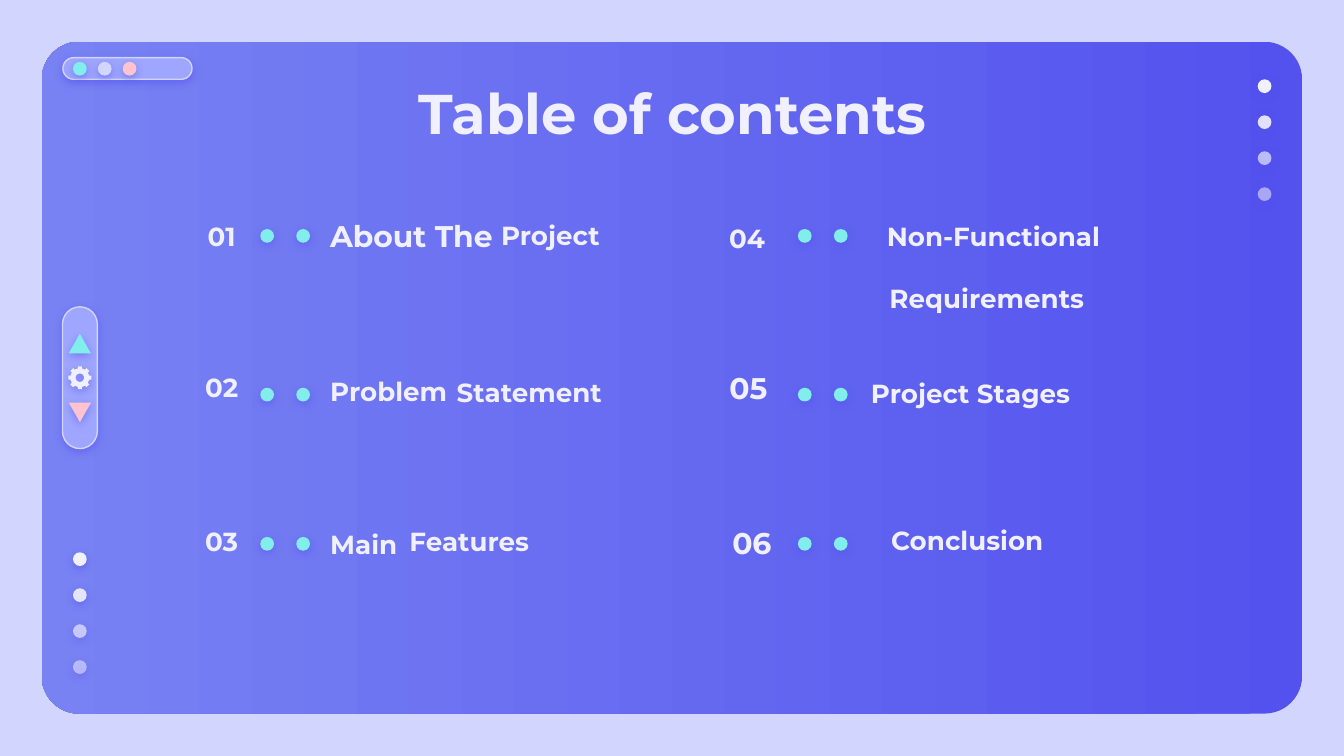
import math

import pptx
import pptx.dml.color
import pptx.enum.shapes
import pptx.enum.text
import pptx.oxml
import pptx.oxml.ns
import pptx.util

Cm, Pt = pptx.util.Cm, pptx.util.Pt
SHAPE = pptx.enum.shapes.MSO_SHAPE
ALIGN = pptx.enum.text.PP_ALIGN
ANCHOR = pptx.enum.text.MSO_ANCHOR

COLORS = {
    "back": "D2D6FF", "deep": "5352EE", "blue": "7882F3", "bar": "9EA6FF",
    "mint": "81EEEB", "pink": "FFC3D0", "light": "F1F0FF",
}
FONT = "Montserrat"
DOT, DOT_STEP = 0.26, 0.68
ROW_H = 0.69

TITLE = "Table of contents"
# text, size in points, (left, top, width, height) in cm
NUMBERS = [
    ("01", 14, (2.97, 4.11, 2.44, ROW_H)),
    ("02", 14, (2.97, 6.98, 2.44, ROW_H)),
    ("03", 14, (2.97, 9.88, 2.44, ROW_H)),
    ("04", 14, (13.08, 4.16, 2.08, ROW_H)),
    ("05", 16, (13.23, 6.98, 1.83, ROW_H)),
    ("06", 16, (13.17, 9.91, 2.08, ROW_H)),
]
TOPICS = [
    ("About The", 16, (5.99, 4.11, 6.4, ROW_H)),
    ("Project", 14, (9.22, 4.22, 3.68, 0.46)),
    ("Problem", 14, (5.99, 7.04, 6.4, ROW_H)),
    ("Statement", 14, (8.38, 7.19, 4.95, 0.46)),
    ("Main", 14, (5.99, 9.93, 6.4, ROW_H)),
    ("Features", 14, (7.49, 9.88, 4.5, ROW_H)),
    ("Non-Functional", 14, (16.51, 4.11, 5.92, ROW_H)),
    ("Requirements", 14, (16.56, 4.95, 5.4, 1.35)),
    ("Project Stages", 14, (16.21, 7.09, 7.19, ROW_H)),
    ("Conclusion", 14, (16.59, 9.88, 4.1, 0.64)),
]
PAIR_LEFTS = [4.92, 15.08]
PAIR_TOPS = [4.33, 7.33, 10.15]
WINDOW_DOTS = ["mint", "back", "pink"]
FADING_DOTS = [100, 90, 67, 54]
FADING_STARTS = [(23.77, 1.5), (1.38, 10.44)]


def rgb(name):
    return pptx.dml.color.RGBColor.from_string(COLORS[name])


def add_shadow(s):
    s._element.spPr.append(pptx.oxml.parse_xml(
        f'<a:effectLst {pptx.oxml.ns.nsdecls("a")}>'
        '<a:outerShdw blurRad="57150" dist="19050" dir="5400000" algn="bl" rotWithShape="0">'
        f'<a:srgbClr val="{COLORS["deep"]}"><a:alpha val="50000"/></a:srgbClr>'
        '</a:outerShdw></a:effectLst>'))


def paint(s, color, line=None, opacity=100):
    """Give a shape its solid fill, outline and soft shadow."""
    s.fill.solid()
    s.fill.fore_color.rgb = rgb(color)
    if opacity < 100:
        clr = s._element.spPr.find(".//" + pptx.oxml.ns.qn("a:srgbClr"))
        clr.append(pptx.oxml.parse_xml(
            f'<a:alpha {pptx.oxml.ns.nsdecls("a")} val="{opacity * 1000}"/>'))
    if line:
        s.line.color.rgb = rgb(line)
        s.line.width = Pt(0.75)
    else:
        s.line.fill.background()
    add_shadow(s)


def add_shape(kind, box, color, rotation=0, **look):
    s = slide.shapes.add_shape(kind, *map(Cm, box))
    s.rotation = rotation
    if kind == SHAPE.ROUNDED_RECTANGLE:
        s.adjustments[0] = 0.5
    paint(s, color, **look)


def add_dot(left, top, color, **look):
    add_shape(SHAPE.OVAL, (left, top, DOT, DOT), color, **look)


def add_text(text, box, size=14, align=ALIGN.LEFT, anchor=ANCHOR.MIDDLE):
    tf = slide.shapes.add_textbox(*map(Cm, box)).text_frame
    tf.word_wrap = True
    tf.vertical_anchor = anchor
    tf.margin_left = tf.margin_right = tf.margin_top = tf.margin_bottom = Cm(0.25)
    p = tf.paragraphs[0]
    p.alignment = align
    r = p.add_run()
    r.text = text
    r.font.name, r.font.size, r.font.bold = FONT, Pt(size), True
    r.font.color.rgb = rgb("light")


def add_gear(x, y, outer, inner, hole, teeth=8):
    def ring(points):
        return [(Cm(x + radius * math.cos(math.radians(angle))),
                 Cm(y + radius * math.sin(math.radians(angle))))
                for radius, angle in points]

    step = 360 / teeth
    rim = ring([(radius, i * step + offset) for i in range(teeth)
                for radius, offset in ((inner, -12), (outer, -10), (outer, 10), (inner, 12))])
    bore = ring([(hole, -angle) for angle in range(0, 360, 15)])
    builder = slide.shapes.build_freeform(*rim[0])
    builder.add_line_segments(rim[1:])
    builder.move_to(*bore[0])
    builder.add_line_segments(bore[1:])
    paint(builder.convert_to_shape(), "light")


prs = pptx.Presentation()
prs.slide_width, prs.slide_height = Cm(25.4), Cm(14.29)
slide = prs.slides.add_slide(prs.slide_layouts[6])
slide.background.fill.solid()
slide.background.fill.fore_color.rgb = rgb("back")

panel = slide.shapes.add_shape(SHAPE.ROUNDED_RECTANGLE, *map(Cm, (0.79, 0.79, 23.82, 12.7)))
panel.adjustments[0] = 0.056
panel.shadow.inherit = False
panel.line.fill.background()
panel.fill.gradient()
panel.fill.gradient_angle = 180
for stop, position, name in zip(panel.fill.gradient_stops, (0, 1), ("deep", "blue")):
    stop.position = position
    stop.color.rgb = rgb(name)

add_shape(SHAPE.ROUNDED_RECTANGLE, (1.19, 1.09, 2.44, 0.41), "bar", line="back")
for i, name in enumerate(WINDOW_DOTS):
    add_dot(1.38 + 0.47 * i, 1.17, name)
for left, top in FADING_STARTS:
    for i, opacity in enumerate(FADING_DOTS):
        add_dot(left, top + DOT_STEP * i, "light", opacity=opacity)

add_text(TITLE, (2.01, 1.24, 21.41, 1.6), size=30, align=ALIGN.CENTER, anchor=ANCHOR.TOP)
for text, size, box in NUMBERS:
    add_text(text, box, size=size, align=ALIGN.CENTER)
for text, size, box in TOPICS:
    add_text(text, box, size=size)
for left in PAIR_LEFTS:
    for top in PAIR_TOPS:
        for i in range(2):
            add_dot(left + DOT_STEP * i, top, "mint")

add_shape(SHAPE.ROUNDED_RECTANGLE, (0.17, 6.81, 2.68, 0.66), "bar", rotation=90, line="back")
add_shape(SHAPE.ISOSCELES_TRIANGLE, (1.3, 6.31, 0.42, 0.37), "mint")
add_shape(SHAPE.ISOSCELES_TRIANGLE, (1.3, 7.61, 0.42, 0.37), "pink", rotation=180)
add_gear(1.51, 7.14, outer=0.22, inner=0.18, hole=0.08)

prs.save("out.pptx")
